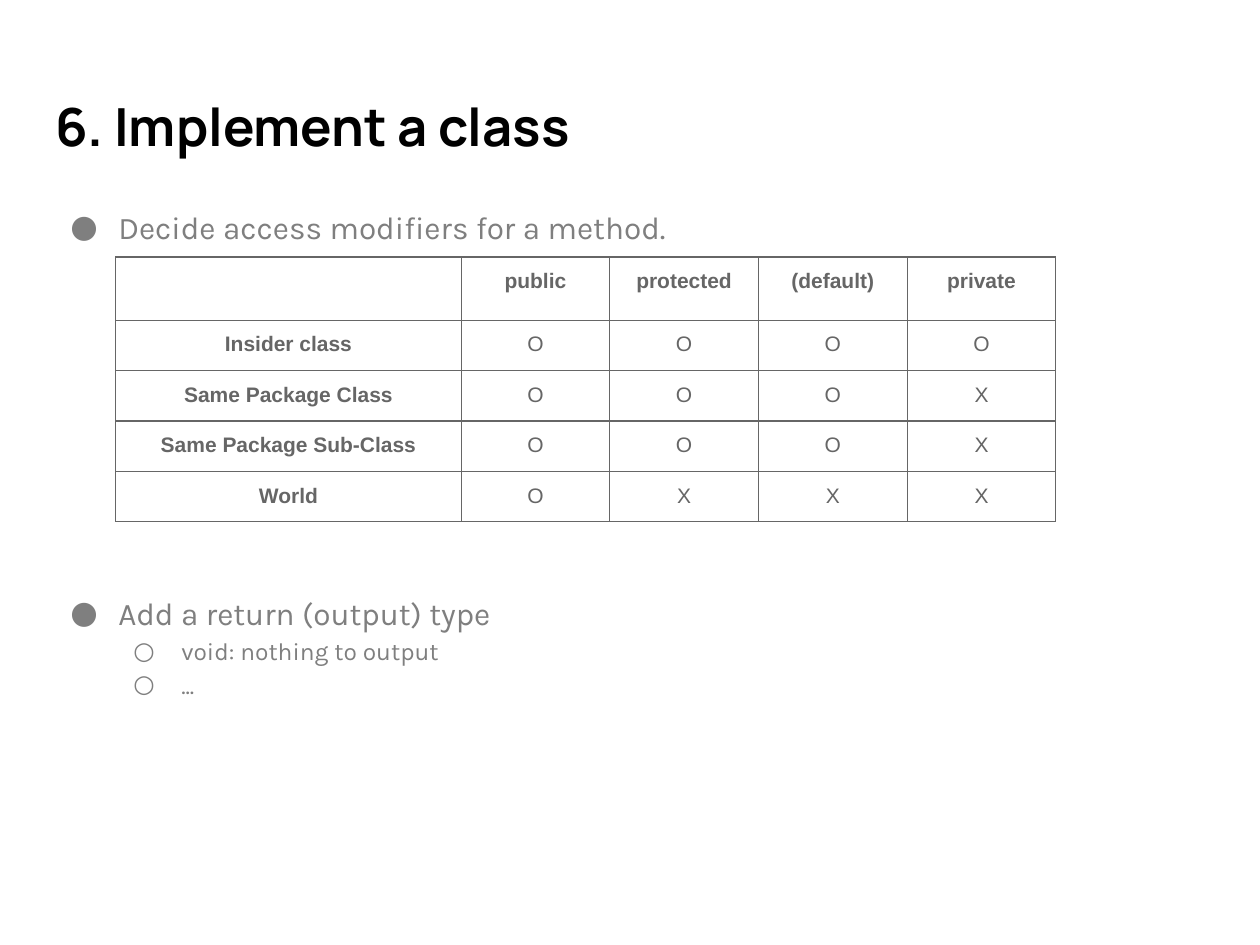
import pptx
import pptx.dml.color
import pptx.enum.text
import pptx.oxml
import pptx.oxml.ns
import pptx.util
from pptx.util import Inches


def color(hex_value):
    return pptx.dml.color.RGBColor.from_string(hex_value)


def write(paragraph, text, size=18, font="Karla", fill="7F7F7F", bold=False):
    run = paragraph.add_run()
    run.text = text
    run.font.size = pptx.util.Pt(size)
    run.font.name = font
    run.font.bold = bold
    run.font.color.rgb = color(fill)


deck = pptx.Presentation()
deck.slide_width, deck.slide_height = Inches(10), Inches(7.5)
slide = deck.slides.add_slide(deck.slide_layouts[6])
namespace = pptx.oxml.ns.nsdecls("a")

# Title and body areas
frames = []
for top, height in [(0.65, 0.91), (1.51, 4.98)]:
    frame = slide.shapes.add_textbox(
        Inches(0.34), Inches(top), Inches(9.32), Inches(height)).text_frame
    frame.word_wrap = True
    frame.margin_left = frame.margin_right = Inches(0.1)
    frame.margin_top = frame.margin_bottom = Inches(0.1)
    frames.append(frame)
title, body = frames
write(title.paragraphs[0], "6. Implement a class",
      size=30, font="Manrope", fill="000000", bold=True)

# Bulleted steps; the space before the second one leaves room for the table
steps = [
    ("Decide access modifiers for a method.", 0, 0),
    ("Add a return (output) type", 0, 195.5),
    ("void: nothing to output", 1, 0),
    ("...", 1, 0),
]
for index, (step, level, space) in enumerate(steps):
    paragraph = body.add_paragraph() if index else body.paragraphs[0]
    paragraph.level = level
    paragraph.line_spacing = 1.15
    paragraph.space_before = pptx.util.Pt(space)
    properties = paragraph._p.get_or_add_pPr()
    properties.set("marL", str(Inches(0.5 * (level + 1))))
    properties.set("indent", str(Inches(-0.38)))
    for bullet in ('<a:buClr {}><a:srgbClr val="7F7F7F"/></a:buClr>',
                   '<a:buFont {} typeface="Karla"/>',
                   f'<a:buChar {{}} char="{"●○"[level]}"/>'):
        properties.append(pptx.oxml.parse_xml(bullet.format(namespace)))
    write(paragraph, step, size=(18, 14)[level])

# Access table
access = [
    ["", "public", "protected", "(default)", "private"],
    ["Insider class", "O", "O", "O", "O"],
    ["Same Package Class", "O", "O", "O", "X"],
    ["Same Package Sub-Class", "O", "O", "O", "X"],
    ["World", "O", "X", "X", "X"],
]
widths = [2.74] + [1.18] * 4
heights = [0.48, 0.39] + [0.4] * 3
table = slide.shapes.add_table(
    len(heights), len(widths), Inches(0.92), Inches(2.04),
    Inches(sum(widths)), Inches(sum(heights))).table
table.first_row = table.horz_banding = False
for column, width in zip(table.columns, widths):
    column.width = Inches(width)
for row, height in zip(table.rows, heights):
    row.height = Inches(height)

for r, labels in enumerate(access):
    for c, label in enumerate(labels):
        cell = table.cell(r, c)
        cell.margin_left = cell.margin_right = Inches(0.1)
        cell.margin_top = cell.margin_bottom = Inches(0.1)
        for side in ("lnL", "lnR", "lnT", "lnB"):
            cell._tc.get_or_add_tcPr().append(pptx.oxml.parse_xml(
                f'<a:{side} {namespace} w="{pptx.util.Pt(0.75)}"><a:solidFill>'
                f'<a:srgbClr val="666666"/></a:solidFill></a:{side}>'))
        cell.fill.background()
        if label:
            paragraph = cell.text_frame.paragraphs[0]
            paragraph.alignment = pptx.enum.text.PP_ALIGN.CENTER
            write(paragraph, label, size=12, font="Arial", fill="666666",
                  bold=r == 0 or c == 0)

deck.save("out.pptx")
